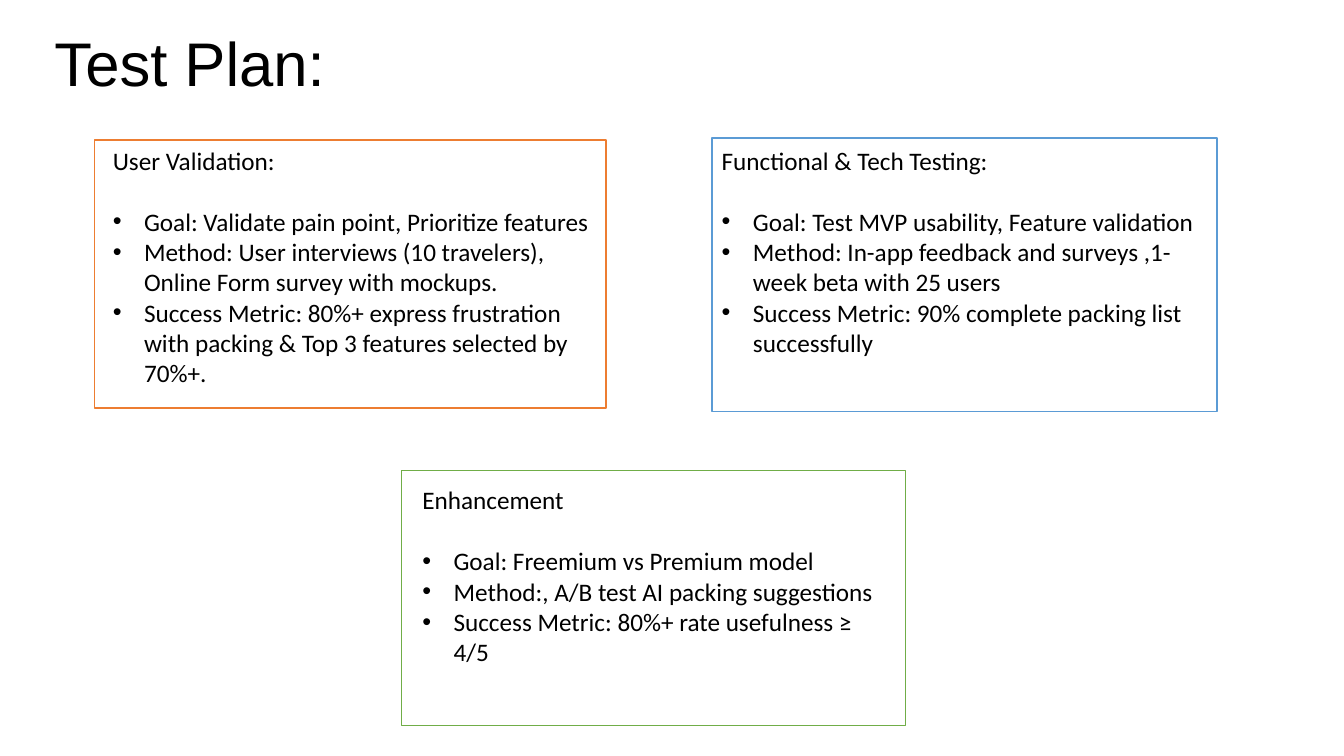
from lxml.etree import SubElement
from pptx import Presentation
from pptx.dml.color import RGBColor
from pptx.enum.shapes import MSO_SHAPE
from pptx.enum.text import MSO_ANCHOR, MSO_AUTO_SIZE, PP_ALIGN
from pptx.oxml.ns import qn
from pptx.util import Pt

EMU_PER_PX = 9144
BLACK = RGBColor(0x00, 0x00, 0x00)
WHITE = RGBColor(0xFF, 0xFF, 0xFF)
ORANGE = RGBColor(0xED, 0x7D, 0x31)
BLUE = RGBColor(0x5B, 0x9B, 0xD5)
GREEN = RGBColor(0x70, 0xAD, 0x47)

CARDS = [
    (ORANGE, (94, 139, 507, 266), (102, 139, 499, 283), "User Validation:", [
        "Goal: Validate pain point, Prioritize features",
        "Method: User interviews (10 travelers), Online Form survey with mockups.",
        "Success Metric: 80%+ express frustration with packing & Top 3 features selected by 70%+.",
    ]),
    (BLUE, (706, 137, 501, 271), (706, 139, 500, 252), "Functional & Tech Testing:", [
        "Goal: Test MVP usability, Feature validation",
        "Method: In-app feedback and surveys ,1-week beta with 25 users",
        "Success Metric: 90% complete packing list successfully",
    ]),
    (GREEN, (398, 467, 500, 253), (409, 476, 469, 252), "Enhancement", [
        "Goal: Freemium vs Premium model",
        "Method:, A/B test AI packing suggestions",
        "Success Metric: 80%+ rate usefulness ≥ 4/5",
    ]),
]


def px(length):
    return length * EMU_PER_PX


def write(paragraph, text, font="Calibri", size=18, color=BLACK,
          space_after=0, line_spacing=None, bullet=False):
    run = paragraph.add_run()
    run.text = text
    run.font.name = font
    run.font.size = Pt(size)
    run.font.color.rgb = color
    paragraph.alignment = PP_ALIGN.LEFT
    paragraph.space_after = Pt(space_after)
    if line_spacing:
        paragraph.line_spacing = line_spacing
    if bullet:
        properties = paragraph._p.get_or_add_pPr()
        properties.set("marL", str(px(31)))
        properties.set("indent", str(px(-31)))
        SubElement(properties, qn("a:buFont")).set("typeface", "Arial")
        SubElement(properties, qn("a:buChar")).set("char", "•")


class SlideBuilder:
    def __init__(self, presentation):
        self.slide = presentation.slides.add_slide(presentation.slide_layouts[5])

    def title(self, box, text):
        shape = self.slide.shapes.title
        shape.left, shape.top, shape.width, shape.height = map(px, box)
        frame = shape.text_frame
        frame.auto_size = MSO_AUTO_SIZE.NONE
        frame.vertical_anchor = MSO_ANCHOR.MIDDLE
        write(frame.paragraphs[0], text, font="Arial", size=44, line_spacing=0.9)

    def frame(self, box, color):
        shape = self.slide.shapes.add_shape(MSO_SHAPE.RECTANGLE, *map(px, box))
        shape.shadow.inherit = False
        shape.fill.solid()
        shape.fill.fore_color.rgb = WHITE
        shape.line.color.rgb = color
        shape.line.width = Pt(1)

    def bullet_list(self, box, heading, items):
        frame = self.slide.shapes.add_textbox(*map(px, box)).text_frame
        frame.word_wrap = True
        write(frame.paragraphs[0], heading, space_after=22)
        for item in items:
            write(frame.add_paragraph(), item, bullet=True)


def main():
    presentation = Presentation()
    presentation.slide_width = px(1333)
    presentation.slide_height = px(750)
    builder = SlideBuilder(presentation)
    builder.title((44, 30, 1153, 72), "Test Plan:")
    for color, frame_box, text_box, heading, items in CARDS:
        builder.frame(frame_box, color)
        builder.bullet_list(text_box, heading, items)
    presentation.save("out.pptx")


if __name__ == "__main__":
    main()
